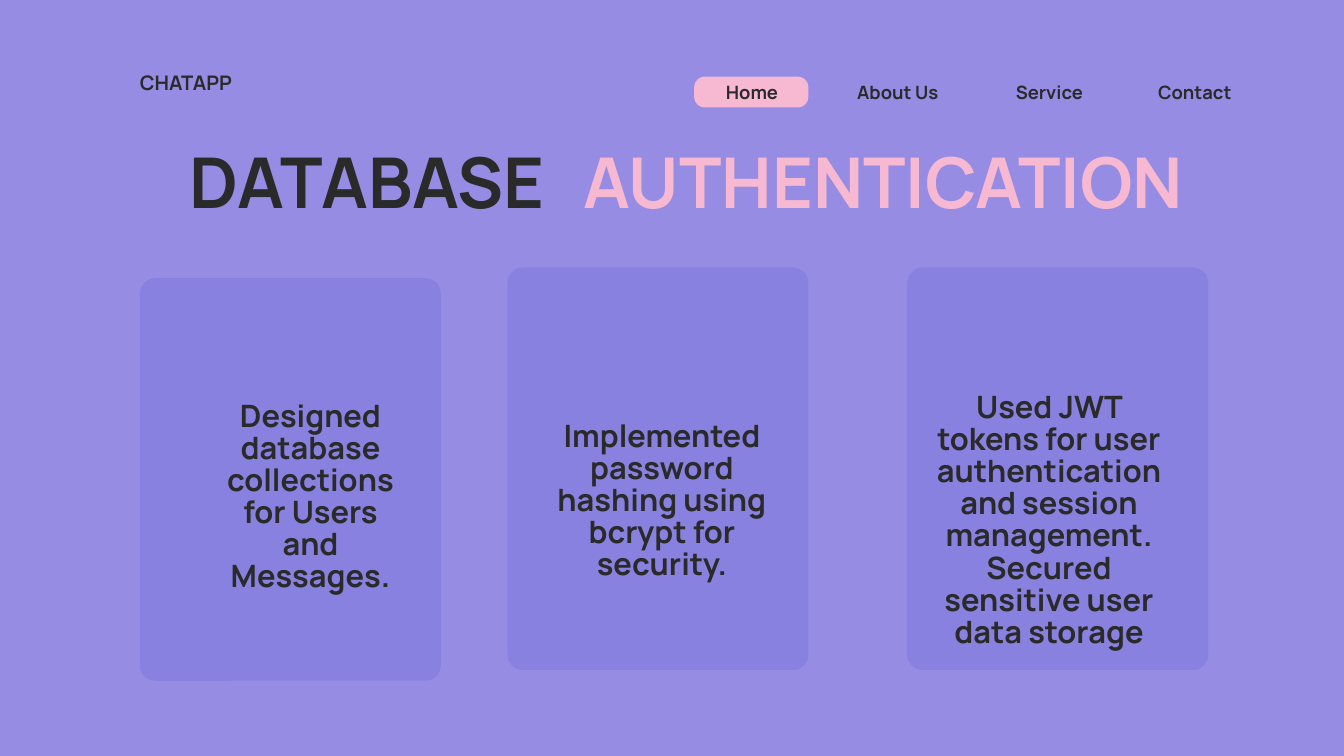
import pptx
import pptx.util
import pptx.dml.color
import pptx.enum.shapes
import pptx.enum.text

Inches = pptx.util.Inches
Pt = pptx.util.Pt
RGBColor = pptx.dml.color.RGBColor
Align = pptx.enum.text.PP_ALIGN

LAVENDER = RGBColor(0x96, 0x8C, 0xE4)
VIOLET = RGBColor(0x89, 0x81, 0xDF)
PINK = RGBColor(0xF7, 0xB8, 0xD2)
CHARCOAL = RGBColor(0x2B, 0x2A, 0x2A)


class Designer:
    font_name = "Manrope"

    def __init__(self, page):
        self.page = page

    def background(self, color):
        fill = self.page.background.fill
        fill.solid()
        fill.fore_color.rgb = color

    def panel(self, left, top, width, height, radius, color):
        shape = self.page.shapes.add_shape(
            pptx.enum.shapes.MSO_SHAPE.ROUNDED_RECTANGLE,
            Inches(left), Inches(top), Inches(width), Inches(height))
        shape.adjustments[0] = radius / min(width, height)
        shape.shadow.inherit = False
        shape.fill.solid()
        shape.fill.fore_color.rgb = color
        shape.line.fill.background()

    def text(self, left, top, width, height, lines, size, spacing,
             color=CHARCOAL, align=Align.CENTER):
        box = self.page.shapes.add_textbox(
            Inches(left), Inches(top), Inches(width), Inches(height))
        frame = box.text_frame
        frame.word_wrap = True
        frame.auto_size = pptx.enum.text.MSO_AUTO_SIZE.SHAPE_TO_FIT_TEXT
        frame.margin_left = frame.margin_right = 0
        frame.margin_top = frame.margin_bottom = 0
        frame.text = "\n".join(lines)
        for para in frame.paragraphs:
            para.alignment = align
            para.line_spacing = Pt(spacing)
            para.font.name = self.font_name
            para.font.size = Pt(size)
            para.font.bold = True
            para.font.color.rgb = color


def main():
    deck = pptx.Presentation()
    deck.slide_width = Inches(20)
    deck.slide_height = Inches(11.25)
    designer = Designer(deck.slides.add_slide(deck.slide_layouts[6]))
    designer.background(LAVENDER)

    designer.panel(10.33, 1.14, 1.7, 0.46, 0.16, PINK)
    for left, top in ((7.55, 3.98), (13.5, 3.98), (2.08, 4.14)):
        designer.panel(left, top, 4.48, 5.99, 0.23, VIOLET)

    menu = (
        ("Home", 10.6, 1.18),
        ("About Us", 12.57, 1.58),
        ("Service", 14.95, 1.33),
        ("Contact", 17.08, 1.4),
    )
    for label, left, width in menu:
        designer.text(left, 1.15, width, 0.38, [label], 19.7, 27.5)

    titles = (
        ("DATABASE", 1.91, 7.11, CHARCOAL),
        ("AUTHENTICATION", 8.31, 9.67, PINK),
    )
    for title, left, width, color in titles:
        designer.text(left, 2.19, width, 1.22, [title], 75, 80.2, color)

    designer.text(2.08, 1.09, 2.11, 0.36, ["CHATAPP"], 21.5, 23,
                  align=Align.LEFT)

    card_texts = (
        (3.32, 5.97, 2.6, 3.33,
         ["Designed database collections for Users and Messages."]),
        (7.97, 6.28, 3.76, 2.87,
         ["Implemented password hashing using bcrypt for security."]),
        (13.79, 5.85, 3.64, 4.27,
         ["Used JWT tokens for user authentication and session management.",
          "Secured sensitive user data storage"]),
    )
    for left, top, width, height, lines in card_texts:
        designer.text(left, top, width, height, lines, 33, 34.3)

    deck.save("out.pptx")


if __name__ == "__main__":
    main()
